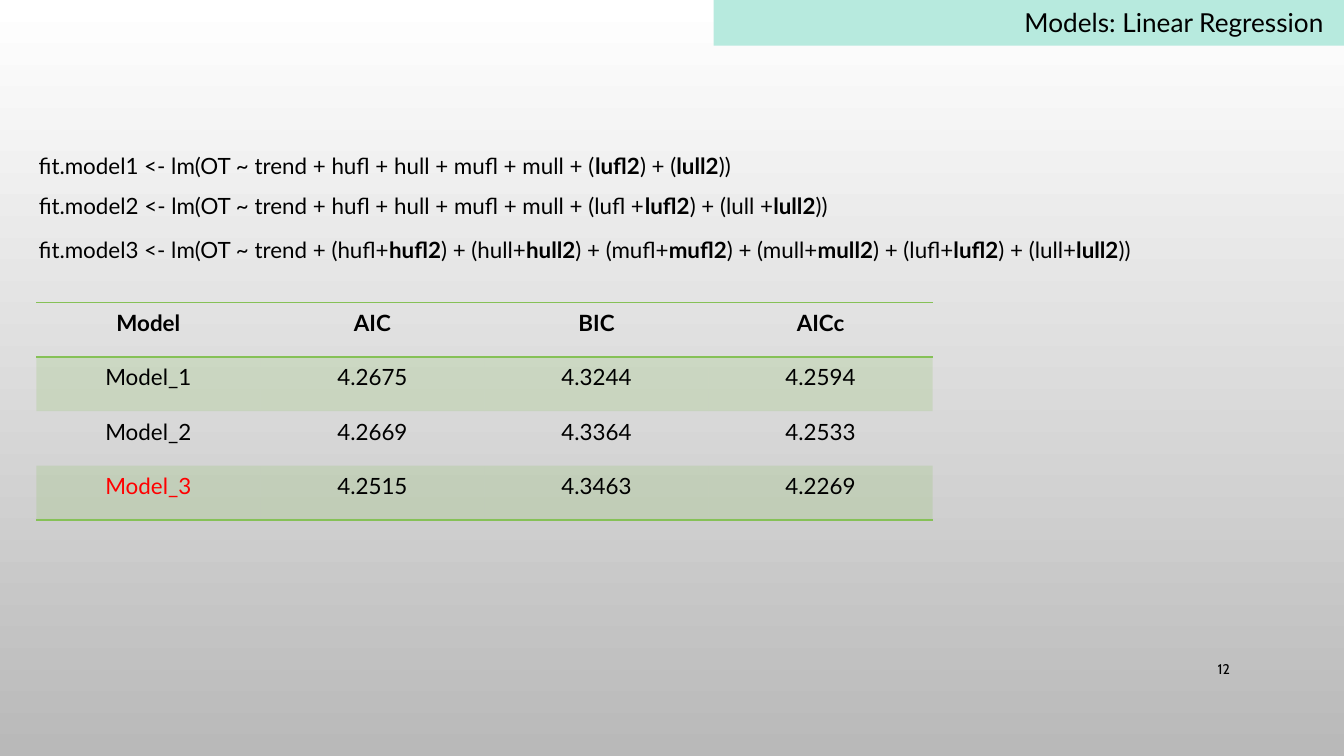
from dataclasses import dataclass
from lxml.etree import SubElement as Sub
from pptx import Presentation
from pptx.dml.color import RGBColor as RGB
from pptx.enum.text import MSO_ANCHOR as Anchor, MSO_AUTO_SIZE as Fit, PP_ALIGN as Align
from pptx.oxml.ns import qn
from pptx.util import Inches, Pt


@dataclass(frozen=True)
class Theme:
    font: str = "Lato"
    num_font: str = "Cabin"
    ink: str = "000000"
    alert: str = "FF0000"
    bar: str = "B7EADE"
    green: str = "86C157"
    top: str = "FFFFFF"
    base: str = "B9B9B9"
    title: float = 14
    body: float = 12
    num: float = 7.5


T = Theme()
PLAIN = "{2D5ABB26-0587-4C30-8999-92F81FD0307C}"
MODELS = [
    (1.08, 6.36, "fit.model1 <- lm(OT ~ trend + hufl + hull + mufl + mull + (*lufl2*) + (*lull2*))"),
    (1.38, 6.75, "fit.model2 <- lm(OT ~ trend + hufl + hull + mufl + mull + (lufl +*lufl2*) + (lull +*lull2*))"),
    (1.71, 8.57, "fit.model3 <- lm(OT ~ trend + (hufl+*hufl2*) + (hull+*hull2*) + (mufl+*mufl2*)"
                 " + (mull+*mull2*) + (lufl+*lufl2*) + (lull+*lull2*))"),
]
SCORES = [
    ["Model", "AIC", "BIC", "AICc"],
    ["Model_1", "4.2675", "4.3244", "4.2594"],
    ["Model_2", "4.2669", "4.3364", "4.2533"],
    ["Model_3", "4.2515", "4.3463", "4.2269"],
]


def write(frame, text, size=T.body, font=T.font, color=T.ink, bold=False, align=Align.LEFT):
    para = frame.paragraphs[0]
    para.alignment = align
    for i, part in enumerate(text.split("*")):
        run = para.add_run()
        run.text = part
        run.font.name = font
        run.font.size = Pt(size)
        run.font.bold = bold or i % 2 == 1
        run.font.color.rgb = RGB.from_string(color)


def add_text(slide, box, text, anchor=Anchor.TOP, **style):
    frame = slide.shapes.add_textbox(*map(Inches, box)).text_frame
    frame.word_wrap = True
    frame.vertical_anchor = anchor
    write(frame, text, **style)


def set_back(slide):
    fill = slide.background.fill
    fill.gradient()
    fill.gradient_angle = 270
    for stop, place, color in zip(fill.gradient_stops, (0, 1), (T.top, T.base)):
        stop.position = place
        stop.color.rgb = RGB.from_string(color)


def set_title(slide, text):
    bar = slide.shapes.title
    bar.left, bar.top, bar.width, bar.height = map(Inches, (5.31, 0, 4.69, 0.34))
    bar.fill.solid()
    bar.fill.fore_color.rgb = RGB.from_string(T.bar)
    frame = bar.text_frame
    frame.word_wrap = True
    frame.auto_size = Fit.NONE
    frame.vertical_anchor = Anchor.TOP
    write(frame, text, size=T.title, align=Align.RIGHT)


def add_rule(cell, side):
    line = Sub(cell._tc.get_or_add_tcPr(), qn(f"a:{side}"), w=str(Pt(1)))
    Sub(Sub(line, qn("a:solidFill")), qn("a:srgbClr"), val=T.green)


def tint(cell):
    cell.fill.solid()
    cell.fill.fore_color.rgb = RGB.from_string(T.green)
    color = cell._tc.tcPr.find(qn("a:solidFill")).find(qn("a:srgbClr"))
    Sub(color, qn("a:alpha"), val="20000")


def add_scores(slide, rows):
    last = len(rows) - 1
    box = map(Inches, (0.27, 2.25, 6.67, 1.62))
    table = slide.shapes.add_table(len(rows), len(rows[0]), *box).table
    table._tbl.tblPr.find(qn("a:tableStyleId")).text = PLAIN
    for r, row in enumerate(rows):
        for c, text in enumerate(row):
            cell = table.cell(r, c)
            if r == 0:
                add_rule(cell, "lnT")
            if r in (0, last):
                add_rule(cell, "lnB")
            if r % 2:
                tint(cell)
            else:
                cell.fill.background()
            color = T.alert if (r, c) == (last, 0) else T.ink
            write(cell.text_frame, text, color=color, bold=r == 0, align=Align.CENTER)


def main():
    deck = Presentation()
    deck.slide_width, deck.slide_height = Inches(10), Inches(10 * 9 / 16)
    slide = deck.slides.add_slide(deck.slide_layouts[5])
    set_back(slide)
    set_title(slide, "Models: Linear Regression ")
    for top, width, text in MODELS:
        add_text(slide, (0.19, top, width, 0.3), text)
    add_scores(slide, SCORES)
    add_text(slide, (8.62, 4.83, 0.63, 0.3), "12", anchor=Anchor.MIDDLE,
             size=T.num, font=T.num_font, align=Align.RIGHT)
    deck.save("out.pptx")


if __name__ == "__main__":
    main()
